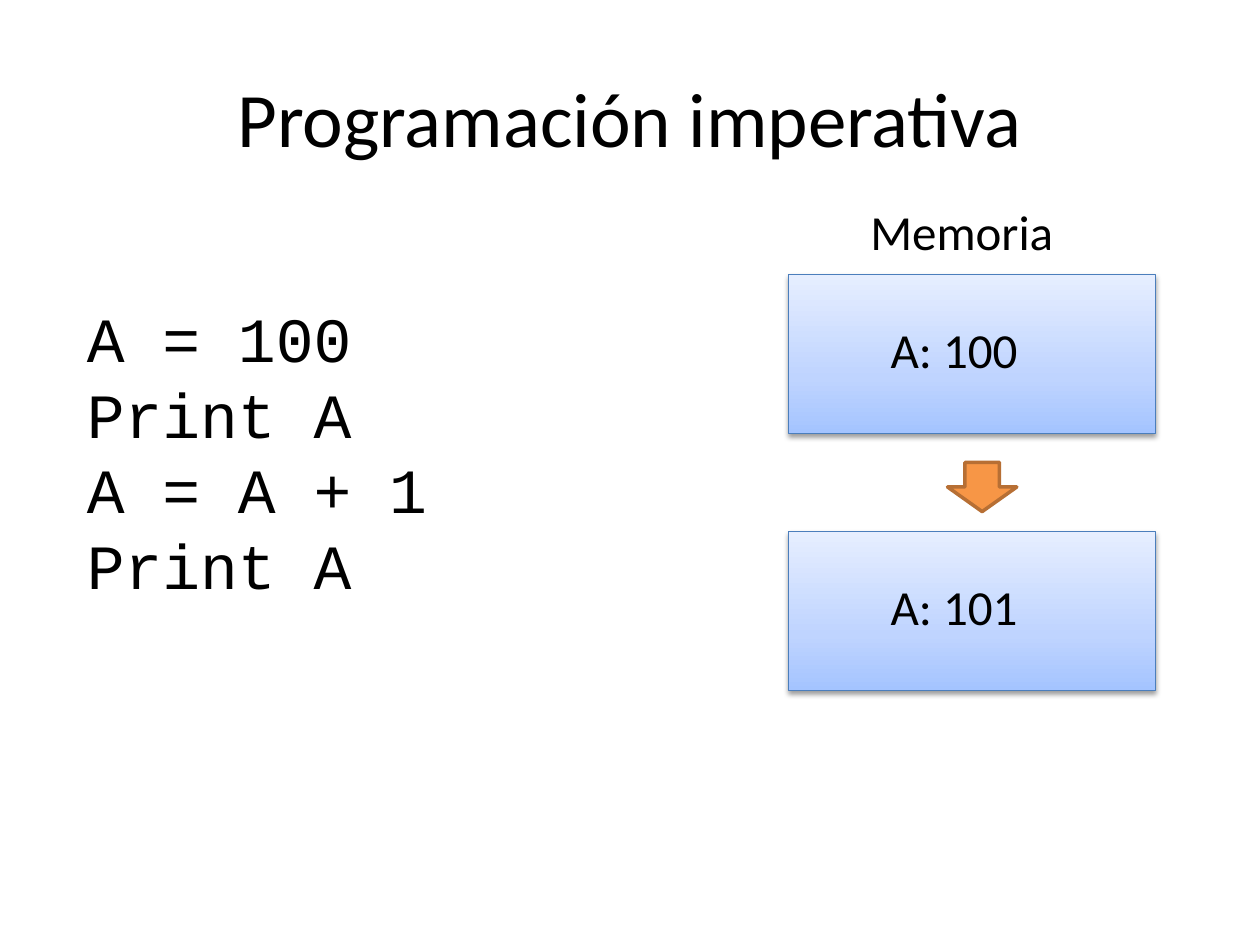
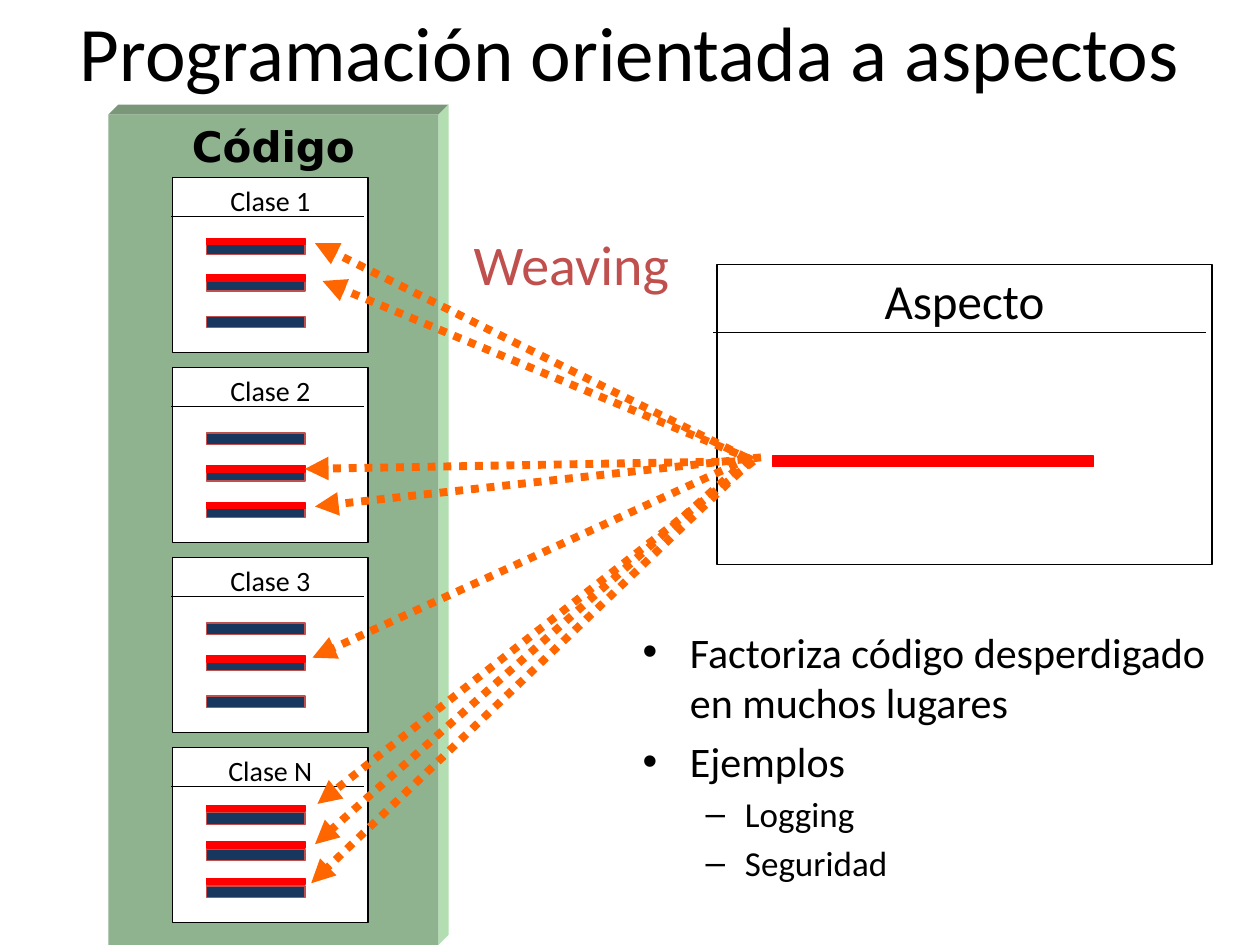
from copy import deepcopy
from pptx import Presentation
from pptx.dml.color import RGBColor as Rgb
from pptx.enum.dml import MSO_LINE as Dash
from pptx.enum.shapes import MSO_CONNECTOR as Conn, MSO_SHAPE as Form
from pptx.enum.text import MSO_ANCHOR as Anchor, MSO_AUTO_SIZE as Fit, PP_ALIGN as Align
from pptx.oxml import parse_xml
from pptx.oxml.ns import nsdecls, qn
from pptx.util import Inches, Pt

INK = {
    "black": "000000", "white": "FFFFFF", "navy": "17375E", "brick": "C0504D",
    "red": "FF0000", "orange": "FF6600", "amber": "F79646", "rust": "B76F34",
    "blue": "4B7EBC", "front": "8FB28F", "top": "7A977A", "side": "B2DEB2",
}
FADE = [(0, "A4C4FF"), (0.35, "BFD4FF"), (1, "E6EEFF")]
SANS, MONO, HEAVY = "Calibri", "Courier New", "DejaVu Sans"

CODE = ["A = 100", "Print A", "A = A + 1", "Print A"]
STATES = ["A: 100", "A: 101"]
CELL = {"left": 6.26, "top": 2.18, "wide": 2.91, "high": 1.26, "step": 2.04}

POINTS = [
    (0, "Factoriza código desperdigado en muchos lugares"),
    (0, "Ejemplos"),
    (1, "Logging"),
    (1, "Seguridad"),
]
CLASSES = [
    ("Clase 1", 0.04, [(0, (5.92, 3.63), (2.5, 1.93)), (1, (5.97, 3.65), (2.56, 2.23))]),
    ("Clase 2", 0.03, [(1, (5.96, 3.66), (2.43, 3.7)), (2, (6.04, 3.63), (2.5, 4.02))]),
    ("Clase 3", 0.03, [(1, (5.96, 3.63), (2.48, 5.22))]),
    ("Clase N", 0.06, [(0, (5.98, 3.66), (2.52, 6.38)), (1, (5.94, 3.64), (2.5, 6.7)),
                       (2, (5.96, 3.66), (2.47, 7.01))]),
]
CLASS = {"left": 1.37, "top": 1.41, "wide": 1.55, "high": 1.39, "step": 1.507}
BAR = {"left": 1.64, "top": 0.52, "wide": 0.78, "high": 0.09, "step": 0.29}
PANEL = {"left": 0.86, "top": 0.91, "right": 3.48, "foot": 7.5, "deep": 0.08}


def inch(*vals):
    return [Inches(v) for v in vals]


def apply(item, **vals):
    for key, val in vals.items():
        setattr(item, key, val)


def color(name):
    return Rgb.from_string(INK[name])


def style(para, size, face=SANS, ink="black", bold=False):
    apply(para.font, size=Pt(size), name=face, bold=bold)
    para.font.color.rgb = color(ink)


def write(shape, lines, size, align=Align.LEFT, wrap=False, **look):
    frame = shape.text_frame
    apply(frame, word_wrap=wrap, auto_size=Fit.NONE, vertical_anchor=Anchor.TOP)
    frame.text = "\n".join(lines)
    for para in frame.paragraphs:
        para.alignment = align
        style(para, size, **look)


def label(slide, at, lines, size, **look):
    write(slide.shapes.add_textbox(*inch(*at)), lines, size, **look)


def paint(shape, fill, line=None, width=0.75):
    shape.shadow.inherit = False
    shape.fill.solid()
    shape.fill.fore_color.rgb = color(fill)
    if line:
        shape.line.color.rgb = color(line)
        shape.line.width = Pt(width)
    else:
        shape.line.fill.background()


def block(slide, at, fill, line=None, width=0.75, form=Form.RECTANGLE):
    shape = slide.shapes.add_shape(form, *inch(*at))
    paint(shape, fill, line, width)
    return shape


def facet(slide, points, fill):
    start, *rest = [tuple(inch(*p)) for p in points]
    build = slide.shapes.build_freeform(*start)
    build.add_line_segments(rest)
    paint(build.convert_to_shape(), fill)


def link(slide, start, end, ink="black", width=0.75):
    line = slide.shapes.add_connector(Conn.STRAIGHT, *inch(*start, *end))
    line.line.color.rgb = color(ink)
    line.line.width = Pt(width)
    line._element.spPr.append(parse_xml(f"<a:effectLst {nsdecls('a')}/>"))
    return line


def weave(slide, start, end, mark):
    line = link(slide, start, end, "orange", 4.5)
    line.line.dash_style = Dash.ROUND_DOT
    head = parse_xml(f'<a:tailEnd {nsdecls("a")} type="triangle"/>')
    line._element.spPr.find(qn("a:ln")).append(head)
    if abs(mark.left + mark.width - Inches(end[0])) < Inches(0.02):
        line.end_connect(mark, 3)


def shade(shape):
    shape.fill.gradient()
    shape.fill.gradient_angle = 90
    last = shape._element.spPr.find(".//" + qn("a:gs"))
    last.addnext(deepcopy(last))
    for stop, (place, tone) in zip(shape.fill.gradient_stops, FADE):
        stop.position = place
        stop.color.rgb = Rgb.from_string(tone)
    shape._element.spPr.find(qn("a:effectLst")).append(parse_xml(
        f'<a:outerShdw {nsdecls("a")} blurRad="{Pt(3.1)}" dist="{Pt(1.6)}" dir="5400000" '
        'rotWithShape="0"><a:srgbClr val="000000"><a:alpha val="38000"/></a:srgbClr></a:outerShdw>'))


def place(shape, at):
    apply(shape, **dict(zip(("left", "top", "width", "height"), inch(*at))))


def start(deck, layout, title, at):
    slide = deck.slides.add_slide(deck.slide_layouts[layout])
    head = slide.shapes.title
    place(head, at)
    write(head, [title], 44, Align.CENTER, wrap=True)
    head.text_frame.vertical_anchor = Anchor.MIDDLE
    return slide


def memory(deck):
    slide = start(deck, 5, "Programación imperativa", (0.5, 0.3, 9, 1.25))
    label(slide, (0.59, 2.33, 3.62, 2.52), CODE, 36, face=MONO, wrap=True)
    label(slide, (6.81, 1.55, 1.67, 0.57), ["Memoria"], 28)
    for i, state in enumerate(STATES):
        top = CELL["top"] + i * CELL["step"]
        shade(block(slide, (CELL["left"], top, CELL["wide"], CELL["high"]), "white", "blue"))
        label(slide, (6.97, top + 0.31, 1.22, 0.57), [state], 28)
    block(slide, (7.52, 3.67, 0.55, 0.39), "amber", "rust", 2, Form.DOWN_ARROW)


def panel(slide):
    left, top, right, foot, deep = PANEL.values()
    facet(slide, [(left, top), (left + deep, top - deep), (right + deep, top - deep),
                  (right, top)], "top")
    facet(slide, [(right, top), (right + deep, top - deep), (right + deep, foot - deep),
                  (right, foot)], "side")
    face = block(slide, (left, top, right - left, foot - top), "front")
    write(face, ["Código"], 24, Align.CENTER, face=HEAVY, bold=True)


def card(slide, at, name, size, rule):
    write(block(slide, at, "white", "black"), [name], size, Align.CENTER)
    (x1, x2), y = rule
    link(slide, (x1, y), (x2, y))


def aspects(deck):
    slide = start(deck, 1, "Programación orientada a aspectos", (0.5, 0, 9, 0.8))
    body = slide.placeholders[1]
    place(body, (5, 4.92, 5, 2.58))
    write(body, [text for _, text in POINTS], 24, wrap=True)
    for para, (level, _) in zip(body.text_frame.paragraphs, POINTS):
        para.level = level
        para.font.size = Pt(24 - 4 * level)
    body.text_frame.paragraphs[0].space_before = Pt(0)

    card(slide, (5.69, 2.1, 3.93, 2.38), "Aspecto", 28, ((5.66, 9.57), 2.64))
    panel(slide)
    arrows = []
    for i, (name, lift, cuts) in enumerate(CLASSES):
        top = CLASS["top"] + i * CLASS["step"]
        card(slide, (CLASS["left"], top, CLASS["wide"], CLASS["high"]), name, 16,
             ((1.36, 2.89), top + 0.31))
        rows = [top + BAR["top"] + r * BAR["step"] for r in range(3)]
        for y in rows:
            block(slide, (BAR["left"], y, BAR["wide"], BAR["high"]), "navy", "brick")
        for row, tail, tip in cuts:
            spot = (BAR["left"], rows[row] - lift, BAR["wide"], 0.05)
            arrows.append((tail, tip, block(slide, spot, "red", "red")))
    block(slide, (6.13, 3.62, 2.55, 0.08), "red", "red")
    for arrow in arrows:
        weave(slide, *arrow)
    label(slide, (3.66, 1.77, 1.78, 0.57), ["Weaving"], 32, ink="brick")


def main():
    deck = Presentation()
    apply(deck, slide_width=Inches(10), slide_height=Inches(7.5))
    memory(deck)
    aspects(deck)
    deck.save("out.pptx")


if __name__ == "__main__":
    main()
